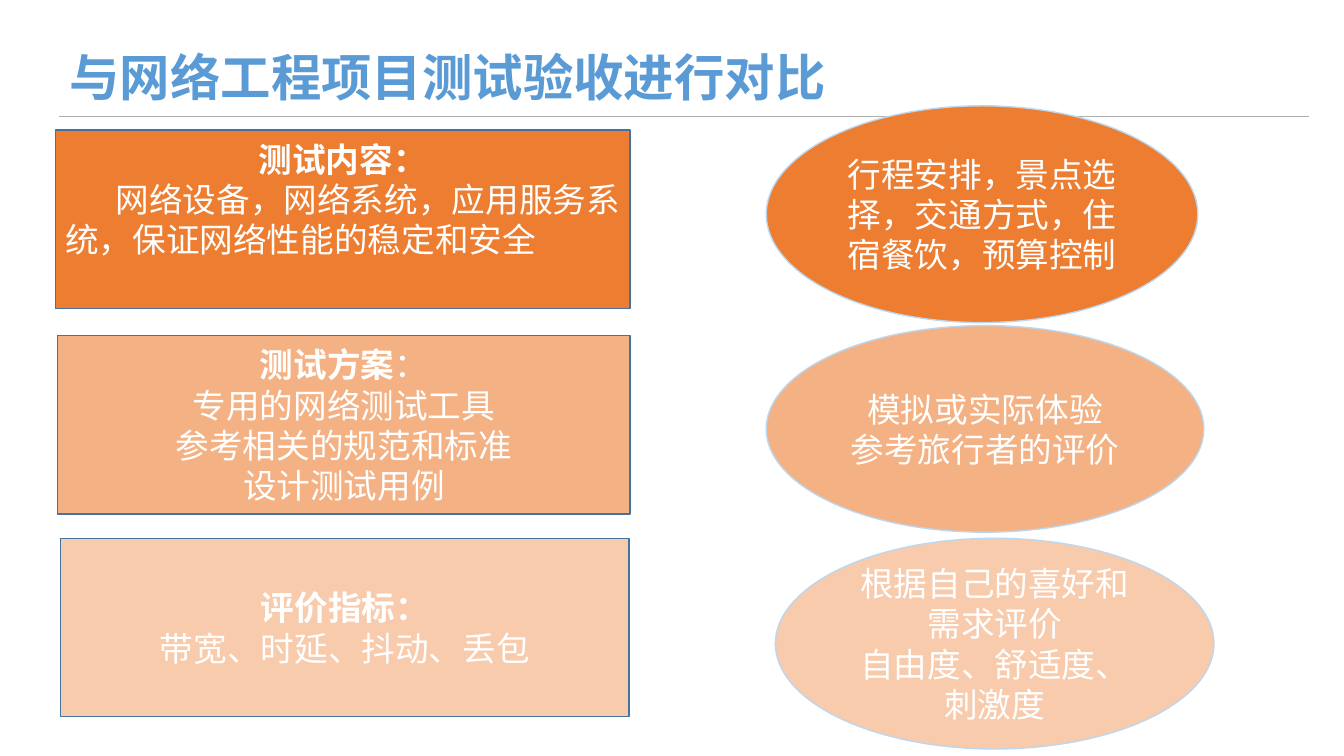
from dataclasses import dataclass

from pptx import Presentation
from pptx.dml.color import RGBColor
from pptx.enum.lang import MSO_LANGUAGE_ID as LANG
from pptx.enum.shapes import MSO_CONNECTOR, MSO_SHAPE as SHAPE
from pptx.enum.text import MSO_ANCHOR as ANCHOR, PP_ALIGN as ALIGN
from pptx.oxml import parse_xml
from pptx.oxml.ns import nsdecls
from pptx.util import Pt

PX = 9144  # 100 px to the inch
FONT = "Calibri"

WHITE = RGBColor(0xFF, 0xFF, 0xFF)
TITLE_BLUE = RGBColor(0x5B, 0x9B, 0xD5)
RULE_GREY = RGBColor(0xB0, 0xB0, 0xB0)
BOX_EDGE = RGBColor(0x43, 0x73, 0x9E)
OVAL_EDGE = RGBColor(0xBD, 0xD7, 0xEE)
ORANGE = RGBColor(0xED, 0x7D, 0x31)
MID_ORANGE = RGBColor(0xF4, 0xB1, 0x83)
PALE_ORANGE = RGBColor(0xF8, 0xCB, 0xAD)


@dataclass(frozen=True)
class Run:
    text: str
    bold: bool = False


@dataclass(frozen=True)
class Para:
    runs: tuple[Run, ...]
    align: ALIGN = ALIGN.CENTER
    indent: int = 0


@dataclass(frozen=True)
class Panel:
    left: int
    top: int
    width: int
    height: int
    paras: tuple[Para, ...]
    bottom_inset: int = 5


def line(text: str, bold: bool = False) -> Para:
    return Para((Run(text, bold),))


FILLS = (ORANGE, MID_ORANGE, PALE_ORANGE)

NETWORK_BOXES = (
    Panel(55, 129, 570, 177, (
        line("测试内容：", bold=True),
        Para((Run("网络设备，网络系统，应用服务系统，保证网络性能的稳定和安全"),),
             ALIGN.LEFT, indent=50),
    ), bottom_inset=45),
    Panel(57, 333, 568, 177, (
        Para((Run("测试方案", bold=True), Run("："))),
        line("专用的网络测试工具"),
        line("参考相关的规范和标准"),
        line("设计测试用例"),
    )),
    Panel(60, 534, 564, 177, (
        line("评价指标：", bold=True),
        line("带宽、时延、抖动、丢包"),
    )),
)

TRAVEL_OVALS = (
    Panel(760, 105, 428, 215, (
        line("行程安排，景点选择，交通方式，住宿餐饮，预算控制"),
    )),
    Panel(760, 323, 434, 205, (
        line("模拟或实际体验"),
        line("参考旅行者的评价"),
    )),
    Panel(769, 534, 435, 209, (
        line("根据自己的喜好和需求评价"),
        line("自由度、舒适度、刺激度"),
    )),
)


def write_paras(tf, paras: tuple[Para, ...], size: int, color: RGBColor) -> None:
    tf.word_wrap = True
    tf.vertical_anchor = ANCHOR.MIDDLE
    for i, para in enumerate(paras):
        p = tf.add_paragraph() if i else tf.paragraphs[0]
        p.alignment = para.align
        if para.indent:
            p._p.get_or_add_pPr().set("indent", str(para.indent * PX))
        for run in para.runs:
            r = p.add_run()
            r.text = run.text
            r.font.name = FONT
            r.font.size = Pt(size)
            r.font.bold = run.bold
            r.font.color.rgb = color
            r.font.language_id = LANG.SIMPLIFIED_CHINESE


def add_title(s) -> None:
    box = s.shapes.add_textbox(59 * PX, 35 * PX, 1239 * PX, 81 * PX)
    title = Para((Run("与网络工程项目测试验收进行对比", bold=True),), ALIGN.LEFT)
    write_paras(box.text_frame, (title,), 36, TITLE_BLUE)


def add_title_rule(s) -> None:
    rule = s.shapes.add_connector(
        MSO_CONNECTOR.STRAIGHT, 59 * PX, 115 * PX, 1298 * PX, 115 * PX)
    rule.line.color.rgb = RULE_GREY
    rule.line.width = Pt(0.5)
    rule._element.spPr.append(parse_xml(f"<a:effectLst {nsdecls('a')}/>"))


def add_panel(s, kind: SHAPE, panel: Panel, fill: RGBColor, edge: RGBColor) -> None:
    sp = s.shapes.add_shape(kind, panel.left * PX, panel.top * PX,
                            panel.width * PX, panel.height * PX)
    sp.shadow.inherit = False
    sp.fill.solid()
    sp.fill.fore_color.rgb = fill
    sp.line.color.rgb = edge
    sp.line.width = Pt(1)
    tf = sp.text_frame
    tf.margin_bottom = panel.bottom_inset * PX
    write_paras(tf, panel.paras, 24, WHITE)


def main() -> None:
    prs = Presentation()
    prs.slide_width, prs.slide_height = 1333 * PX, 750 * PX
    s = prs.slides.add_slide(prs.slide_layouts[6])
    add_title_rule(s)
    add_title(s)
    for kind, panels, edge in ((SHAPE.RECTANGLE, NETWORK_BOXES, BOX_EDGE),
                               (SHAPE.OVAL, TRAVEL_OVALS, OVAL_EDGE)):
        for panel, fill in zip(panels, FILLS):
            add_panel(s, kind, panel, fill, edge)
    prs.save("out.pptx")


if __name__ == "__main__":
    main()
